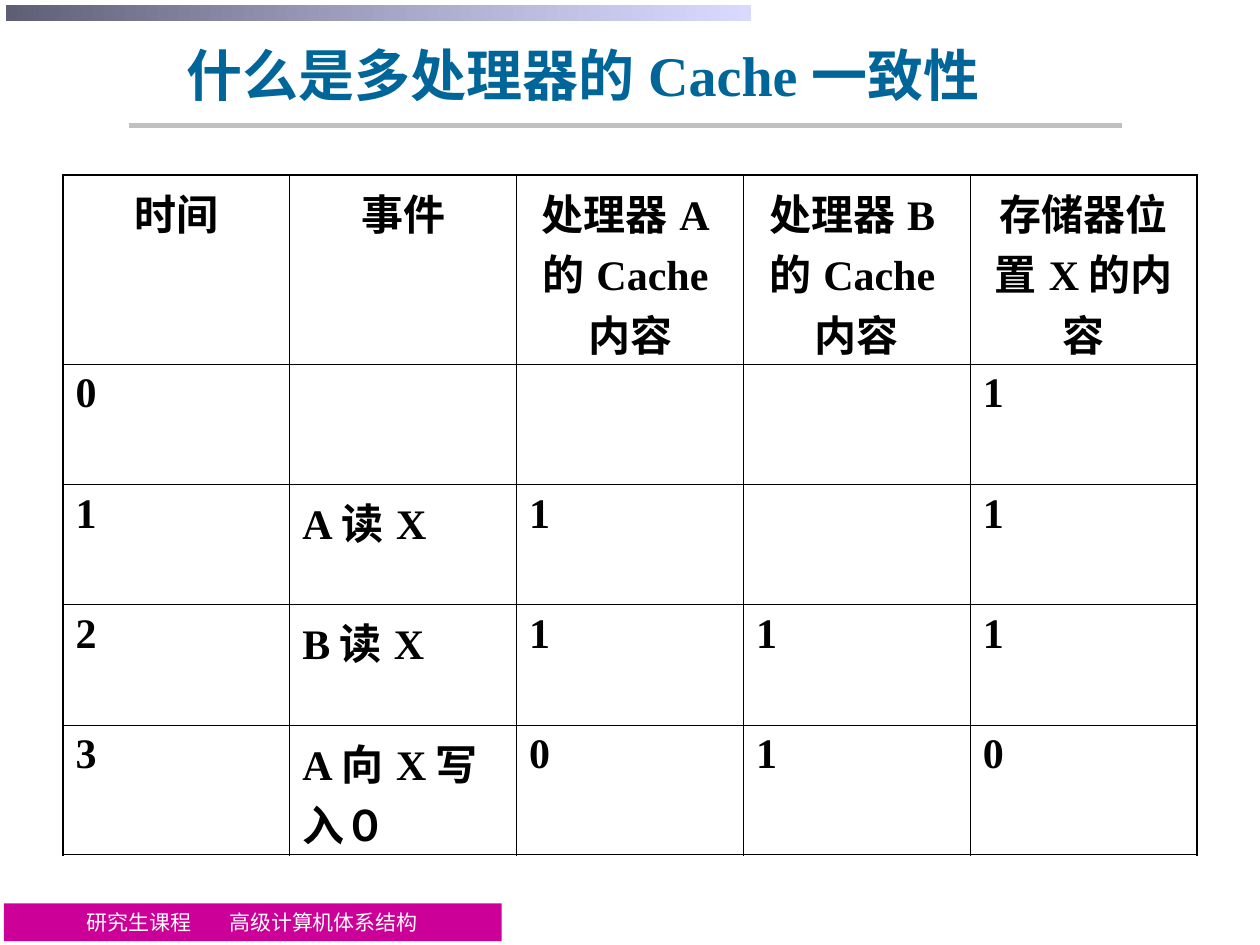
from dataclasses import dataclass

from lxml.etree import SubElement
from pptx import Presentation
from pptx.dml.color import RGBColor
from pptx.enum.shapes import MSO_CONNECTOR, MSO_SHAPE
from pptx.enum.text import MSO_ANCHOR, PP_ALIGN
from pptx.oxml.ns import qn
from pptx.util import Pt


@dataclass(frozen=True)
class Theme:
    font: str = "Times New Roman"
    title: str = "006699"
    ink: str = "000000"
    paper: str = "FFFFFF"
    foot: str = "CC0099"
    rule: str = "C0C0C0"
    dark: str = "5E5E75"
    light: str = "CCCCFF"
    head_size: int = 32
    cell_size: int = 24
    foot_size: int = 12


theme = Theme()


def write(frame, text, size, color=theme.ink, bold=True,
          align=PP_ALIGN.LEFT, anchor=MSO_ANCHOR.MIDDLE):
    frame.word_wrap = True
    frame.vertical_anchor = anchor
    para = frame.paragraphs[0]
    para.alignment = align
    run = para.add_run()
    run.text = text
    font = run.font
    font.name, font.size, font.bold = theme.font, Pt(size), bold
    font.color.rgb = RGBColor.from_string(color)
    return para


def block(left, top, width, height):
    shape = slide.shapes.add_shape(
        MSO_SHAPE.RECTANGLE, Pt(left), Pt(top), Pt(width), Pt(height))
    shape.shadow.inherit = False
    shape.line.fill.background()
    return shape


deck = Presentation()
deck.slide_width, deck.slide_height = Pt(720), Pt(540)
slide = deck.slides.add_slide(deck.slide_layouts[6])

# Footer band, with a tab between course type and course name
foot = block(2.2, 516.2, 284.4, 21.6)
foot.fill.solid()
foot.fill.fore_color.rgb = RGBColor.from_string(theme.foot)
foot.text_frame.margin_left = Pt(47)
props = foot.text_frame.paragraphs[0]._p.get_or_add_pPr()
tabs = SubElement(props, qn("a:tabLst"))
SubElement(tabs, qn("a:tab"), pos=str(Pt(81.7)), algn="l")
write(foot.text_frame, "研究生课程\t高级计算机体系结构", theme.foot_size,
      color=theme.paper, bold=False)

# Gradient bar along the top
bar = block(3.6, 2.9, 425.5, 8.6)
bar.fill.gradient()
bar.fill.gradient_angle = 180
for stop, color in zip(bar.fill.gradient_stops, (theme.light, theme.dark)):
    stop.color.rgb = RGBColor.from_string(color)
tint = next(bar._element.iter(qn("a:srgbClr")))
SubElement(tint, qn("a:alpha"), val="72000")

# Rule under the title
rule = slide.shapes.add_connector(
    MSO_CONNECTOR.STRAIGHT, Pt(74), Pt(71.5), Pt(641), Pt(71.5))
rule.line.color.rgb = RGBColor.from_string(theme.rule)
rule.line.width = Pt(2.75)
SubElement(rule._element.spPr, qn("a:effectLst"))

# Title
title = slide.shapes.add_textbox(Pt(36), Pt(12.2), Pt(594), Pt(60))
write(title.text_frame, "什么是多处理器的Cache一致性", theme.head_size,
      color=theme.title, align=PP_ALIGN.CENTER)

# Table of events and cache contents
rows = [
    ["时间", "事件", "处理器A的Cache内容", "处理器B的Cache内容", "存储器位置X的内容"],
    ["0", "", "", "", "1"],
    ["1", "A读X", "1", "", "1"],
    ["2", "B读X", "1", "1", "1"],
    ["3", "A向X写入０", "0", "1", "0"],
]
highs = [108, 68.8, 68.8, 68.8, 74]
last = len(rows) - 1
end = len(rows[0]) - 1
table = slide.shapes.add_table(
    len(rows), len(rows[0]), Pt(36), Pt(100), Pt(648), Pt(sum(highs))).table
for col in table.columns:
    col.width = Pt(648 / len(rows[0]))

for r, (row, high) in enumerate(zip(rows, highs)):
    table.rows[r].height = Pt(high)
    for c, text in enumerate(row):
        cell = table.cell(r, c)
        # Borders: heavier on the outer frame, and before the fill in the XML
        outer = {"L": c == 0, "R": c == end, "T": r == 0, "B": r == last}
        props = cell._tc.get_or_add_tcPr()
        for side, thick in outer.items():
            edge = SubElement(props, qn(f"a:ln{side}"),
                              w=str(Pt(1.08 if thick else 0.45)))
            paint = SubElement(edge, qn("a:solidFill"))
            SubElement(paint, qn("a:srgbClr"), val=theme.ink)
        cell.fill.background()
        if text:
            align = PP_ALIGN.LEFT if r else PP_ALIGN.CENTER
            write(cell.text_frame, text, theme.cell_size, align=align,
                  anchor=MSO_ANCHOR.TOP)

deck.save("out.pptx")
